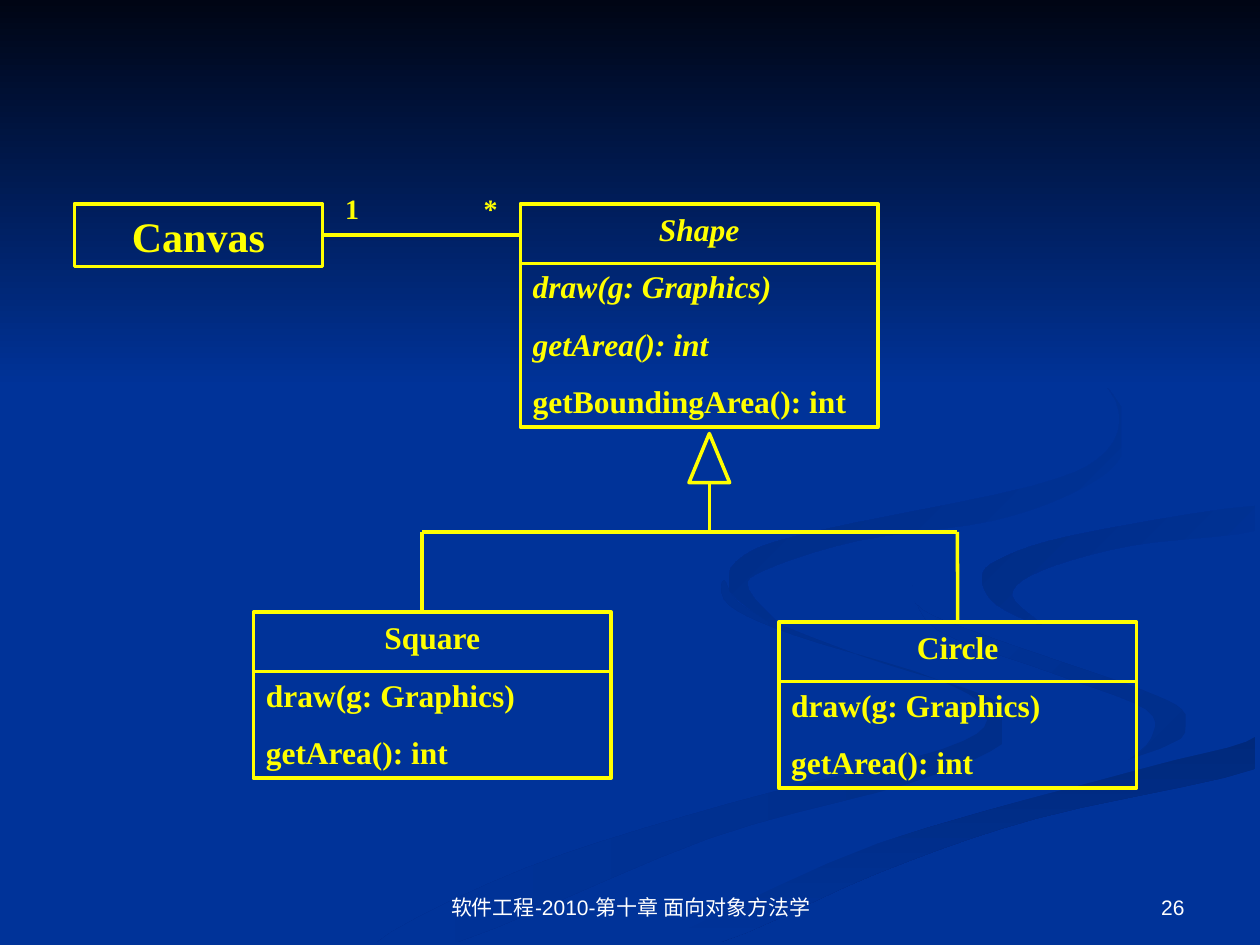
"""Build a UML class diagram slide: a canvas holding shapes, with two subclasses."""
from dataclasses import dataclass
from typing import Optional

from pptx import Presentation
from pptx.dml.color import RGBColor
from pptx.enum.shapes import MSO_CONNECTOR, MSO_SHAPE
from pptx.enum.text import MSO_ANCHOR, PP_ALIGN
from pptx.oxml.ns import qn
from pptx.util import Cm, Pt
from lxml.etree import SubElement


@dataclass(frozen=True)
class Theme:
    """Colours, fonts and sizes of the slide."""
    background: str = "003399"
    night: str = "000514"
    ink: str = "FFFF00"
    footer: str = "FFFFFF"
    diagram_font: str = "Times New Roman"
    footer_font: str = "Arial"
    heading_size: float = 24
    class_size: float = 18
    label_size: float = 16
    footer_size: float = 12
    line_width: float = 2


@dataclass(frozen=True)
class Ribbon:
    """A filled curved outline through knots given in cm."""
    knots: tuple
    start: str
    end: str
    angle: Optional[int] = None


@dataclass(frozen=True)
class ClassBox:
    """A UML class: top left corner and height in cm, operations, abstract lines."""
    name: str
    left: float
    top: float
    height: float
    operations: tuple
    abstract: tuple = ()


@dataclass(frozen=True)
class Label:
    """A text box: left, top and width in cm, height, and its text format."""
    text: str
    frame: tuple
    style: dict


THEME = Theme()
SLIDE_WIDTH, SLIDE_HEIGHT, BAND_HEIGHT = 25.4, 19.05, 7.82
CLASS_WIDTH, NAME_HEIGHT = 7.21, 1.2
TRUNK_X, TRUNK_Y = 14.3, 10.72
SQUARE_X, CIRCLE_X = 8.51, 19.3
ASSOCIATION_Y = 4.74
CURVE_STEPS = 5

RIBBONS = (
    Ribbon(((19.8, 14), (17.3, 13.2), (15.1, 12.3), (14.6, 11.7), (14.7, 12.2), (16, 12.8),
            (18.9, 13.7), (19.9, 14.4), (19, 15.1), (14.7, 16.2), (10.6, 17.5), (7.6, 19),
            (9.2, 19), (14.3, 16.9), (18.3, 15.8), (20.2, 15), (20.2, 14.4)),
           "002E8A", THEME.background, 180),
    Ribbon(((23.9, 14.4), (23, 13.9), (20.1, 12.9), (18.6, 12.3), (18.4, 11.8), (18.9, 12.7),
            (21.3, 13.6), (23.1, 14.3), (23.2, 14.9), (22.7, 15.4), (23.7, 15)),
           "002E8A", THEME.background, 225),
    Ribbon(((12.8, 19), (14.5, 19), (17.7, 17.6), (20.9, 16.5), (25.3, 15.5), (25.3, 14.8),
            (22.9, 15.5), (17.7, 17), (14.5, 18.3)), "00297C", THEME.background, 90),
    Ribbon(((18.4, 11.8), (18.9, 12.4), (21.1, 13.2), (23.6, 14), (23.8, 14.9), (20.7, 15.9),
            (16.8, 17), (12.1, 19), (13.2, 19), (17.7, 17), (23, 15.5), (25.4, 14.8),
            (25.4, 13.7), (22, 12.9), (20, 12), (20.3, 11.2), (25.4, 10.2), (25.4, 9.8),
            (20, 10.7)), THEME.background, THEME.background),
    Ribbon(((19.8, 11.7), (20.1, 12.2), (21, 12.6), (20.4, 12), (21, 11.5), (22.8, 11),
            (25.3, 10.7), (25.3, 10.2), (21.6, 10.8), (20.1, 11.3)),
           THEME.background, "002C85", 225),
    Ribbon(((17.3, 10.9), (20, 10.5), (21.7, 9.9), (22.6, 9.2), (22.6, 8.2), (21.4, 7),
            (19.4, 5.9), (21.5, 7.1), (22.5, 8.1), (22.3, 9.1), (20.8, 9.8), (16.5, 10.7),
            (15, 11.2), (14.7, 11.9), (15.8, 12.7), (15.1, 11.9), (15.4, 11.5)),
           THEME.background, "002B81", 225),
)

SUBCLASS_OPERATIONS = ("draw(g: Graphics)", "getArea(): int")
SHAPE_CLASS = ClassBox("Shape", 10.49, 4.11, 4.5,
                       SUBCLASS_OPERATIONS + ("getBoundingArea(): int",),
                       ("Shape",) + SUBCLASS_OPERATIONS)
CIRCLE_CLASS = ClassBox("Circle", 15.7, 12.54, 3.35, SUBCLASS_OPERATIONS)
SQUARE_CLASS = ClassBox("Square", 5.11, 12.34, 3.35, SUBCLASS_OPERATIONS)

MULTIPLICITY = dict(size=THEME.label_size)
FOOTER = dict(size=THEME.footer_size, font=THEME.footer_font, color=THEME.footer,
              bold=False, anchor=MSO_ANCHOR.BOTTOM)
LABELS = (
    Label("1", (6.71, 3.73, 0.79, 0.94), MULTIPLICITY),
    Label("*", (9.5, 3.73, 0.79, 0.94), MULTIPLICITY),
    Label("软件工程-2010-第十章 面向对象方法学", (8.69, 17.35, 8.05, 1.32),
          dict(FOOTER, align=PP_ALIGN.CENTER)),
    Label("26", (18.21, 17.35, 5.92, 1.32), dict(FOOTER, align=PP_ALIGN.RIGHT)),
)


def write_text(shape, *lines: str, size: float, font: str = THEME.diagram_font,
               color: str = THEME.ink, bold: bool = True, italic_lines: tuple = (),
               align=PP_ALIGN.LEFT, anchor=MSO_ANCHOR.TOP) -> None:
    """Fill a shape with paragraphs; align applies to the first one."""
    frame = shape.text_frame
    frame.word_wrap = True
    frame.vertical_anchor = anchor
    for index, line in enumerate(lines):
        paragraph = frame.add_paragraph() if index else frame.paragraphs[0]
        paragraph.text = line
        paragraph.alignment = PP_ALIGN.LEFT if index else align
        if index:
            paragraph.space_before = Pt(11.2)
        paragraph.font.size = Pt(size)
        paragraph.font.name = font
        paragraph.font.bold = bold
        paragraph.font.italic = line in italic_lines
        paragraph.font.color.rgb = RGBColor.from_string(color)


def set_line(shape) -> None:
    """Give a shape or connector the diagram's line."""
    shape.line.color.rgb = RGBColor.from_string(THEME.ink)
    shape.line.width = Pt(THEME.line_width)


def smooth(knots: tuple) -> list:
    """Return a closed Catmull-Rom curve kept within the bounds of its knots."""
    bounds = [(min(axis), max(axis)) for axis in zip(*knots)]
    curve = []
    for index in range(len(knots)):
        corners = [knots[(index + offset) % len(knots)] for offset in (-1, 0, 1, 2)]
        for step in range(CURVE_STEPS):
            t = step / CURVE_STEPS
            values = [b + t * (c - a + t * (2 * a - 5 * b + 4 * c - d
                                            + t * (3 * (b - c) + d - a))) / 2
                      for a, b, c, d in zip(*corners)]
            curve.append([Cm(min(max(value, low), high))
                          for value, (low, high) in zip(values, bounds)])
    return curve


def set_gradient(shape, start: str, end: str, angle: int) -> None:
    """Fill a shape with a two-colour gradient, its angle clockwise."""
    shape.fill.gradient()
    shape.fill.gradient_angle = 360 - angle
    for stop, color in zip(shape.fill.gradient_stops, (start, end)):
        stop.color.rgb = RGBColor.from_string(color)


def draw_ribbon(slide, ribbon: Ribbon) -> None:
    """Draw one background ribbon with a solid or gradient fill."""
    first, *others = smooth(ribbon.knots)
    builder = slide.shapes.build_freeform(*first)
    builder.add_line_segments(others, close=True)
    shape = builder.convert_to_shape()
    shape.shadow.inherit = False
    shape.line.fill.background()
    if ribbon.angle is None:
        shape.fill.solid()
        shape.fill.fore_color.rgb = RGBColor.from_string(ribbon.start)
    else:
        set_gradient(shape, ribbon.start, ribbon.end, ribbon.angle)


def draw_outline(slide, kind, left: float, top: float, width: float, height: float):
    """Draw an unfilled preset shape and return it."""
    shape = slide.shapes.add_shape(kind, Cm(left), Cm(top), Cm(width), Cm(height))
    shape.shadow.inherit = False
    shape.fill.background()
    set_line(shape)
    return shape


def draw_line(slide, x1: float, y1: float, x2: float, y2: float):
    """Draw a straight connector and return it."""
    connector = slide.shapes.add_connector(
        MSO_CONNECTOR.STRAIGHT, Cm(x1), Cm(y1), Cm(x2), Cm(y2))
    set_line(connector)
    SubElement(connector._element.spPr, qn("a:effectLst"))
    return connector


def draw_class(slide, box: ClassBox):
    """Draw a class box with its divider and return the rectangle."""
    shape = draw_outline(slide, MSO_SHAPE.RECTANGLE, box.left, box.top, CLASS_WIDTH, box.height)
    write_text(shape, box.name, *box.operations, size=THEME.class_size,
               italic_lines=box.abstract, align=PP_ALIGN.CENTER)
    divider = box.top + NAME_HEIGHT
    draw_line(slide, box.left, divider, box.left + CLASS_WIDTH, divider)
    return shape


def main() -> None:
    """Build and save the presentation."""
    presentation = Presentation()
    presentation.slide_width, presentation.slide_height = Cm(SLIDE_WIDTH), Cm(SLIDE_HEIGHT)
    slide = presentation.slides.add_slide(presentation.slide_layouts[6])
    slide.background.fill.solid()
    slide.background.fill.fore_color.rgb = RGBColor.from_string(THEME.background)
    for ribbon in RIBBONS:
        draw_ribbon(slide, ribbon)
    band = draw_outline(slide, MSO_SHAPE.RECTANGLE, 0, 0, SLIDE_WIDTH, BAND_HEIGHT)
    band.line.fill.background()
    set_gradient(band, THEME.night, THEME.background, 90)

    canvas = draw_outline(slide, MSO_SHAPE.RECTANGLE, 1.5, 4.11, 5, 1.26)
    write_text(canvas, "Canvas", size=THEME.heading_size, align=PP_ALIGN.CENTER)
    draw_class(slide, SHAPE_CLASS)
    circle = draw_class(slide, CIRCLE_CLASS)
    draw_class(slide, SQUARE_CLASS)

    draw_outline(slide, MSO_SHAPE.ISOSCELES_TRIANGLE, TRUNK_X - 0.41, 8.74, 0.82, 0.99)
    draw_line(slide, SQUARE_X, TRUNK_Y, CIRCLE_X, TRUNK_Y)
    draw_line(slide, SQUARE_X, TRUNK_Y, SQUARE_X, SQUARE_CLASS.top)
    draw_line(slide, CIRCLE_X, TRUNK_Y, CIRCLE_X, CIRCLE_CLASS.top).end_connect(circle, 0)
    draw_line(slide, TRUNK_X, 9.73, TRUNK_X, TRUNK_Y)
    draw_line(slide, 6.5, ASSOCIATION_Y, SHAPE_CLASS.left, ASSOCIATION_Y).begin_connect(canvas, 3)

    for label in LABELS:
        text_box = slide.shapes.add_textbox(*map(Cm, label.frame))
        write_text(text_box, label.text, **label.style)
    presentation.save("out.pptx")


if __name__ == "__main__":
    main()
